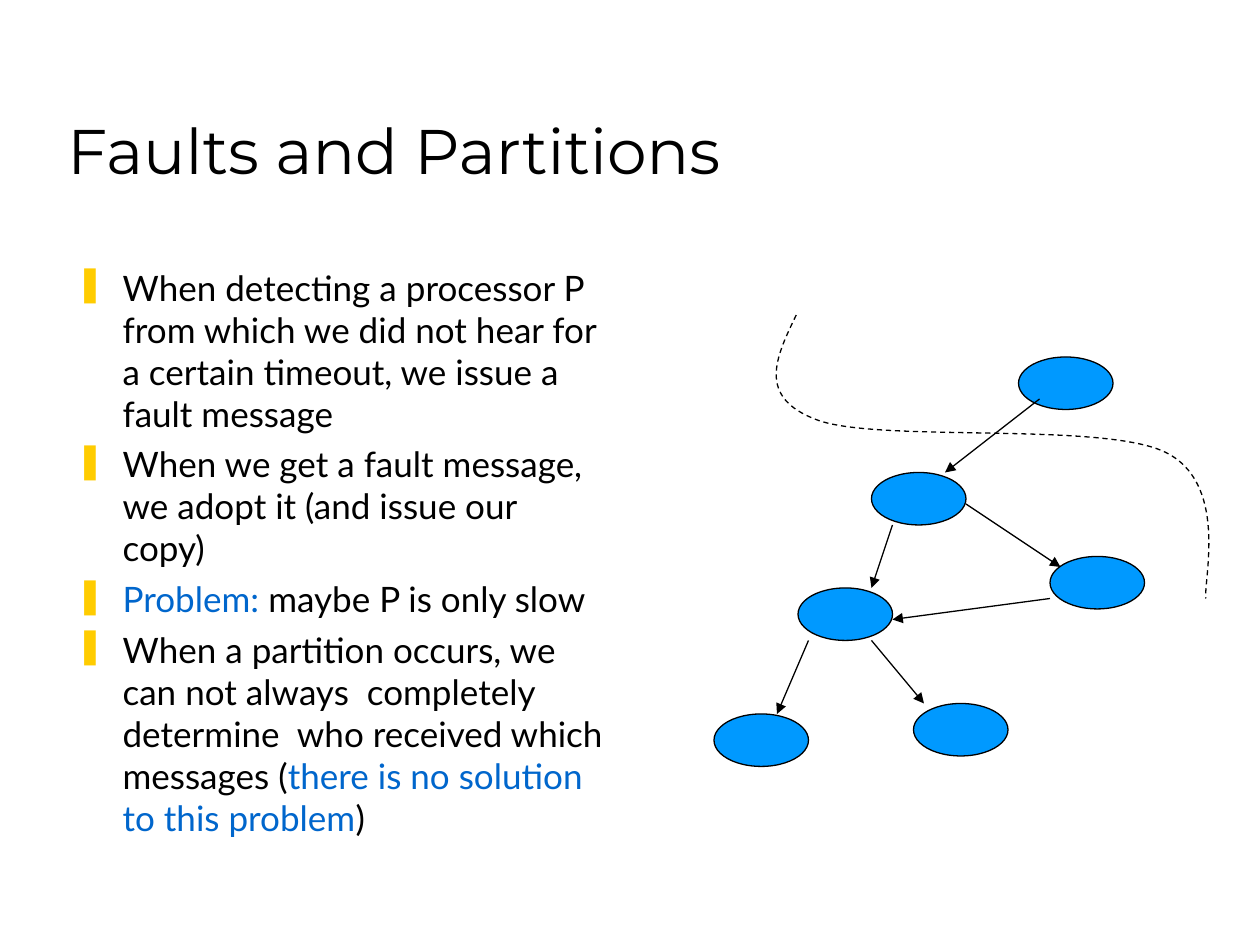
from lxml import etree
from pptx import Presentation
from pptx import util as u
from pptx.dml.color import RGBColor
from pptx.enum import dml, shapes, text
from pptx.oxml.ns import qn

BLACK = RGBColor(0x00, 0x00, 0x00)
NODE_BLUE = RGBColor(0x00, 0x99, 0xFF)
TEXT_BLUE = RGBColor(0x00, 0x66, 0xCC)
BULLET_YELLOW = RGBColor(0xFF, 0xCC, 0x00)

TITLE = "Faults and Partitions"
BULLETS = [
    [("When detecting a processor P from which we did not hear for "
      "a certain timeout, we issue a fault message", BLACK)],
    [("When we get a fault message, we adopt it (and issue our copy)", BLACK)],
    [("Problem:", TEXT_BLUE), (" maybe P is only slow", BLACK)],
    [("When a partition occurs, we can not always  completely determine  "
      "who received which messages (", BLACK),
     ("there is no solution to this problem", TEXT_BLUE), (")", BLACK)],
]
NODES = [(582, 204), (498, 270), (600, 318), (456, 336), (522, 402), (408, 408)]
ARROWS = [
    ((594, 228), (540, 270)), ((510, 300), (498, 336)),
    ((552, 288), (606, 324)), ((498, 366), (528, 402)),
    ((462, 366), (444, 408)), ((600, 342), (510, 354)),
]
PARTITION = [
    (455, 180), (443.5, 204), (432, 227), (467, 240), (502, 253),
    (628, 241), (665, 258), (702, 275), (688, 330), (689, 342),
]


class Deck:
    """Hold the style and current slide, and draw each kind of element."""

    line_width = u.Pt(0.75)
    node_size = u.Pt(54), u.Pt(30)
    indent = u.Pt(27)

    def __init__(self, prs):
        self.s = prs.slides.add_slide(prs.slide_layouts[6])

    def outline(self, line):
        line.color.rgb = BLACK
        line.width = self.line_width

    def textbox(self, box, paragraphs, font, size, anchor, bottom=3.6, bullets=False):
        tf = self.s.shapes.add_textbox(*map(u.Pt, box)).text_frame
        tf.word_wrap = True
        tf.vertical_anchor = anchor
        tf.margin_bottom = u.Pt(bottom)
        for i, runs in enumerate(paragraphs):
            p = tf.add_paragraph() if i else tf.paragraphs[0]
            if i:
                p.space_before = u.Pt(5)
            if bullets:
                self.bullet(p)
            for content, color in runs:
                r = p.add_run()
                r.text = content
                r.font.name = font
                r.font.size = u.Pt(size)
                r.font.color.rgb = color

    def bullet(self, p):
        pPr = p._p.get_or_add_pPr()
        pPr.set("marL", str(self.indent))
        pPr.set("indent", str(-self.indent))
        color = etree.SubElement(pPr, qn("a:buClr"))
        etree.SubElement(color, qn("a:srgbClr"), val=str(BULLET_YELLOW))
        etree.SubElement(pPr, qn("a:buChar"), char="❚")

    def node(self, left, top):
        sp = self.s.shapes.add_shape(
            shapes.MSO_SHAPE.OVAL, u.Pt(left), u.Pt(top), *self.node_size)
        sp.shadow.inherit = False
        sp.fill.solid()
        sp.fill.fore_color.rgb = NODE_BLUE
        self.outline(sp.line)

    def curve(self, points):
        start, *rest = [(u.Pt(x), u.Pt(y)) for x, y in points]
        builder = self.s.shapes.build_freeform(*start)
        builder.add_line_segments(rest, close=False)
        sp = builder.convert_to_shape()
        sp.shadow.inherit = False
        sp.fill.background()
        self.outline(sp.line)
        sp.line.dash_style = dml.MSO_LINE.DASH
        path = sp._element.find(".//" + qn("a:path"))
        segments = path.findall(qn("a:lnTo"))
        for i in range(0, len(segments), 3):
            bezier = etree.SubElement(path, qn("a:cubicBezTo"))
            for segment in segments[i:i + 3]:
                bezier.append(segment[0])
                path.remove(segment)

    def arrow(self, start, end):
        cxn = self.s.shapes.add_connector(
            shapes.MSO_CONNECTOR.STRAIGHT, *map(u.Pt, start + end))
        self.outline(cxn.line)
        etree.SubElement(cxn.line._get_or_add_ln(), qn("a:tailEnd"), type="triangle")
        etree.SubElement(cxn._element.spPr, qn("a:effectLst"))


def main():
    prs = Presentation()
    prs.slide_width, prs.slide_height = u.Pt(720), u.Pt(540)
    deck = Deck(prs)
    deck.textbox((31.5, 18, 612, 90), [[(TITLE, BLACK)]], "Montserrat", 36,
                 text.MSO_ANCHOR.BOTTOM, bottom=1)
    deck.textbox((36, 148.5, 316, 367), BULLETS, "Lato", 20,
                 text.MSO_ANCHOR.TOP, bullets=True)
    for node in NODES:
        deck.node(*node)
    deck.curve(PARTITION)
    for start, end in ARROWS:
        deck.arrow(start, end)
    prs.save("out.pptx")


if __name__ == "__main__":
    main()
